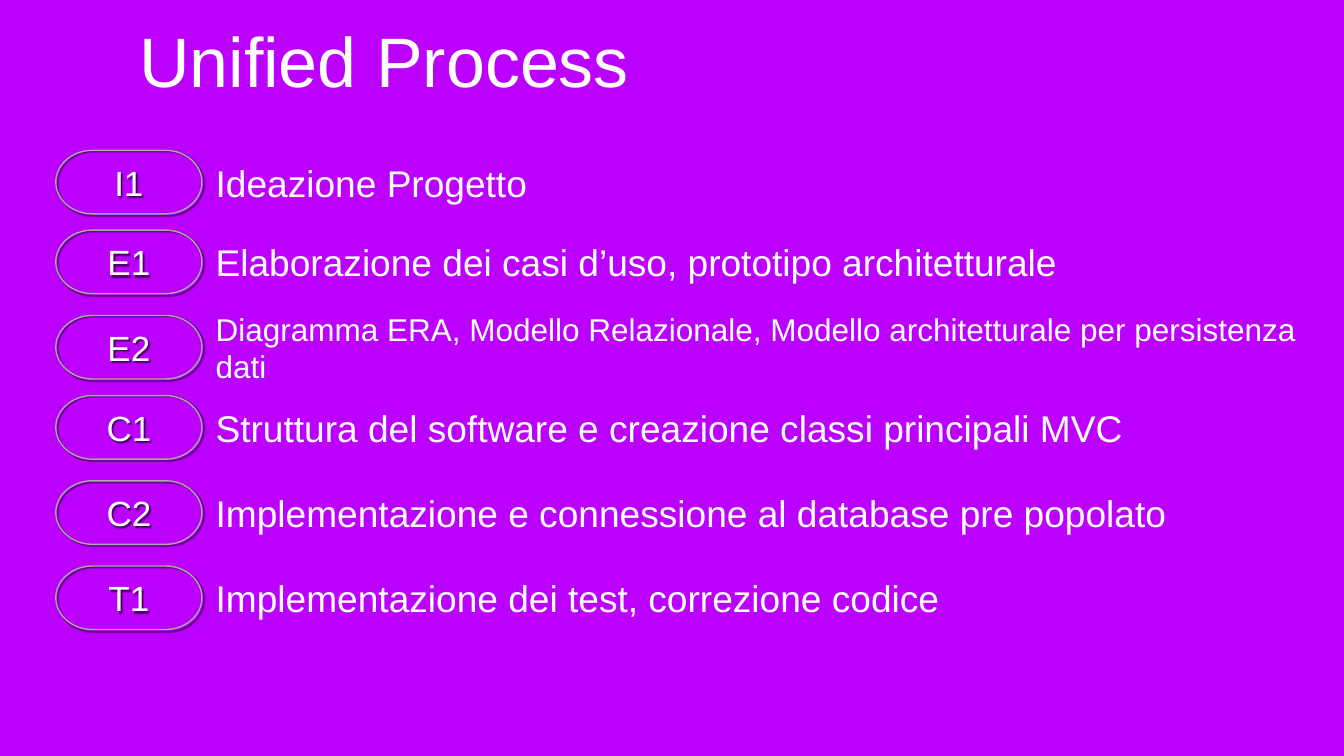
"""Build the Unified Process slide: six phase pills, each with its description."""
from lxml import etree
from pptx import Presentation
from pptx.dml.color import RGBColor
from pptx.enum.text import MSO_ANCHOR as Anchor, MSO_AUTO_SIZE as Fit, PP_ALIGN as Align
from pptx.oxml.ns import qn
from pptx.util import Pt

SHADE = (
    '<a:outerShdw xmlns:a="http://schemas.openxmlformats.org/drawingml/2006/main" '
    'blurRad="25400" dist="38100" dir="2700000" algn="ctr" rotWithShape="0">'
    '<a:srgbClr val="000000"><a:alpha val="65000"/></a:srgbClr></a:outerShdw>'
)
PHASES = [
    ("I1", 214.8, "Ideazione Progetto", 53),
    ("E1", 328.8, "Elaborazione dei casi d’uso, prototipo architetturale", 53),
    ("E2", 450.7, "Diagramma ERA, Modello Relazionale, Modello architetturale per persistenza dati", 45),
    ("C1", 565.2, "Struttura del software e creazione classi principali MVC", 53),
    ("C2", 686.9, "Implementazione e connessione al database pre popolato", 53),
    ("T1", 808.6, "Implementazione dei test, correzione codice", 53),
]
LEFT, WIDE, HIGH, CURVE = 79.8, 208.8, 90.7, 52
RIGHT, HALF = LEFT + WIDE, HIGH / 2
BENDX, BENDY = CURVE * 0.45, HALF * 0.45


def color(code):
    return RGBColor.from_string(code)


def write(shape, text, size, align=Align.LEFT):
    frame = shape.text_frame
    frame.word_wrap = True
    frame.auto_size = Fit.NONE
    frame.vertical_anchor = Anchor.MIDDLE
    frame.margin_left = frame.margin_right = Pt(4.3)
    frame.margin_top = frame.margin_bottom = Pt(4.3)
    line = frame.paragraphs[0]
    line.alignment = align
    run = line.add_run()
    run.text = text
    run.font.name = "Arial"
    run.font.size = Pt(size)
    run.font.color.rgb = color("FFFFFF")


deck = Presentation()
deck.slide_width, deck.slide_height = Pt(1920.24), Pt(1080)
slide = deck.slides.add_slide(deck.slide_layouts[5])
slide.background.fill.solid()
slide.background.fill.fore_color.rgb = color("BC00FF")
shapes = slide.shapes

title = shapes.title
title.left, title.top, title.width, title.height = Pt(194.4), Pt(-49.7), Pt(1687.7), Pt(270)
write(title, "Unified Process", 100)

for code, top, _, _ in PHASES:
    low = top + HIGH
    points = []
    for side, sign, first, last in ((LEFT, 1, top, low), (RIGHT, -1, low, top)):
        edge, bend = side + sign * CURVE, side + sign * BENDX
        step = BENDY if first < last else -BENDY
        mid = top + HALF
        points += [
            (edge, first), (bend, first), (side, first + step), (side, mid),
            (side, last - step), (bend, last), (edge, last),
        ]
    points = [(Pt(x), Pt(y)) for x, y in points]
    path = shapes.build_freeform(*points[0])
    path.add_line_segments(points[1:], close=True)
    pill = path.convert_to_shape()
    props = pill._element.spPr
    lines = list(props.iter(qn("a:lnTo")))
    for start in (0, 3, 7, 10):
        curve = etree.Element(qn("a:cubicBezTo"))
        lines[start].addprevious(curve)
        for part in lines[start:start + 3]:
            curve.append(part[0])
            part.getparent().remove(part)
    pill.fill.background()
    pill.line.color.rgb = color("ACA6A4")
    pill.line.width = Pt(2)
    pill.shadow.inherit = False
    props.find(qn("a:effectLst")).append(etree.fromstring(SHADE))
    write(pill, code, 50, Align.CENTER)

for _, top, text, size in PHASES:
    box = shapes.add_textbox(Pt(303.8), Pt(top + 9.6), Pt(1573.2), Pt(72))
    write(box, text, size)

deck.save("out.pptx")
